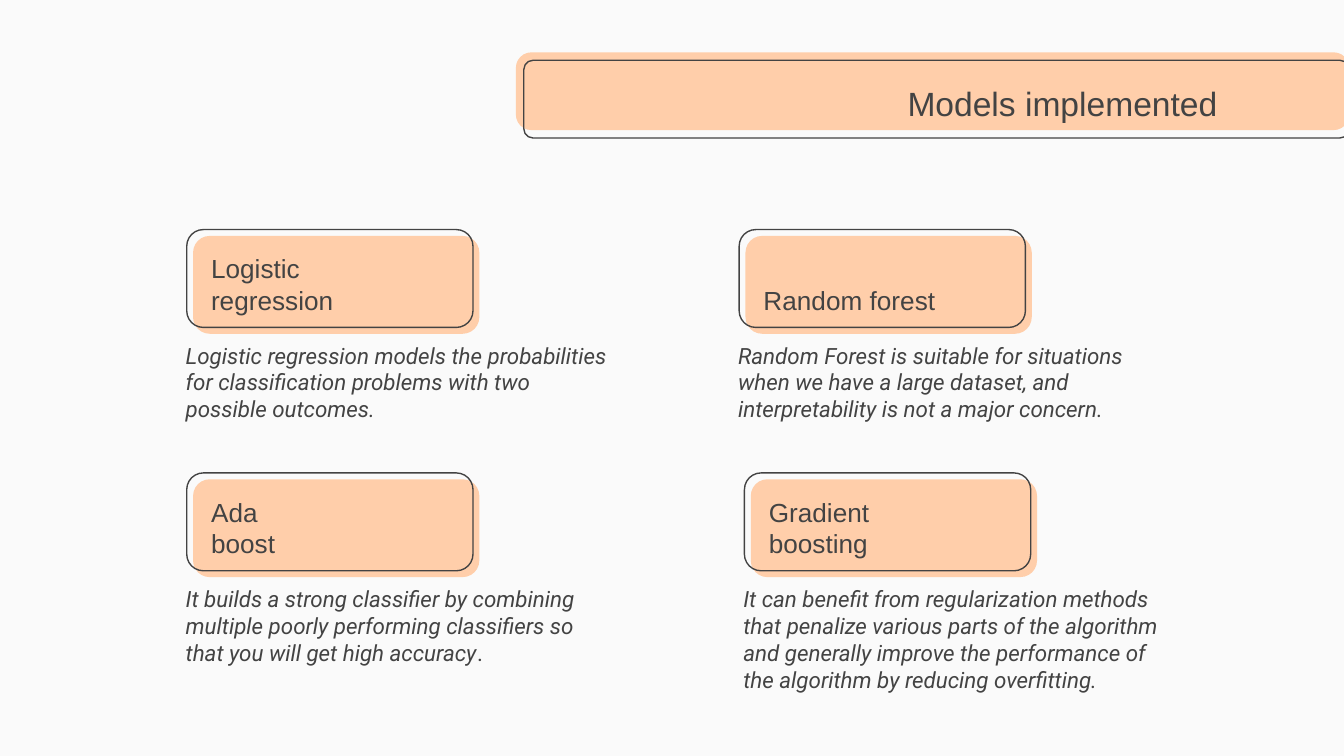
from pptx import Presentation
from pptx.dml.color import RGBColor
from pptx.enum.shapes import MSO_SHAPE
from pptx.enum.text import MSO_ANCHOR, MSO_AUTO_SIZE, PP_ALIGN
from pptx.util import Cm, Pt

COLORS = {"background": "FAFAFA", "peach": "FFCEAA", "ink": "434343"}
INSET = 0.25
CARD_WIDTH, CARD_HEIGHT = 5.41, 1.85

MODELS = [
    (3.53, 4.34, 4.14, "Logistic regression",
     ["Logistic regression models the probabilities for classification "
      "problems with two possible outcomes."]),
    (13.97, 4.34, 4.72, "Random forest",
     ["Random Forest is suitable for situations when we have a large dataset, "
      "and interpretability is not a major concern."]),
    (3.53, 8.94, 2.54, "Ada boost",
     ["It builds a strong classifier by combining multiple poorly performing "
      "classifiers so that you will get high accuracy", "."]),
    (14.07, 8.94, 4.32, "Gradient boosting",
     ["It can benefit from regularization methods that penalize various parts "
      "of the algorithm and generally improve the performance of the algorithm "
      "by reducing overfitting."]),
]


def color(name):
    return RGBColor.from_string(COLORS[name])


def add_panel(shapes, box, rounding, filled):
    panel = shapes.add_shape(MSO_SHAPE.ROUNDED_RECTANGLE, *map(Cm, box))
    panel.adjustments[0] = rounding
    panel.shadow.inherit = False
    if filled:
        panel.fill.solid()
        panel.fill.fore_color.rgb = color("peach")
        panel.line.fill.background()
    else:
        panel.fill.background()
        panel.line.color.rgb = color("ink")
        panel.line.width = Pt(0.75)


def write(holder, parts, size, font, anchor, align=PP_ALIGN.LEFT):
    frame = holder.text_frame
    frame.word_wrap = True
    frame.auto_size = MSO_AUTO_SIZE.NONE
    frame.vertical_anchor = anchor
    frame.margin_left = frame.margin_right = Cm(INSET)
    frame.margin_top = frame.margin_bottom = Cm(INSET)
    paragraph = frame.paragraphs[0]
    paragraph.alignment = align
    for part in parts:
        run = paragraph.add_run()
        run.text = part
        run.font.size = Pt(size)
        run.font.name = font
        run.font.color.rgb = color("ink")
    return paragraph


def add_banner(slide, left, top, width, height):
    add_panel(slide.shapes, (left, top, width, height), 0.2, True)
    add_panel(slide.shapes, (left + 0.15, top + 0.15, width - 0.15, height), 0.12, False)
    title = slide.shapes.title
    title.left, title.top = Cm(left + 4.65), Cm(top + 0.28)
    title.width, title.height = Cm(8.86), Cm(1.35)
    write(title, ["Models implemented"], 18, "Arial", MSO_ANCHOR.MIDDLE, PP_ALIGN.RIGHT)
    slide.shapes._spTree.append(title._element)


def add_model(slide, left, top, heading_width, name, description):
    card = slide.shapes.add_group_shape().shapes
    add_panel(card, (left + 0.12, top + 0.12, CARD_WIDTH, CARD_HEIGHT), 0.17, True)
    add_panel(card, (left, top, CARD_WIDTH, CARD_HEIGHT), 0.17, False)

    heading = slide.shapes.add_textbox(
        Cm(left + 0.21), Cm(top + 0.27), Cm(heading_width), Cm(1.6))
    write(heading, [name], 14, "Arial", MSO_ANCHOR.BOTTOM)

    body = slide.shapes.add_textbox(
        Cm(left - 0.27), Cm(top + 1.87), Cm(8.51), Cm(2.72))
    paragraph = write(body, description, 12, "Roboto", MSO_ANCHOR.TOP)
    paragraph.runs[0].font.italic = True


def main():
    presentation = Presentation()
    presentation.slide_width, presentation.slide_height = Cm(25.4), Cm(14.29)
    slide = presentation.slides.add_slide(presentation.slide_layouts[5])
    slide.background.fill.solid()
    slide.background.fill.fore_color.rgb = color("background")
    add_banner(slide, 9.75, 0.99, 15.75, 1.47)
    for model in MODELS:
        add_model(slide, *model)
    presentation.save("out.pptx")


if __name__ == "__main__":
    main()
